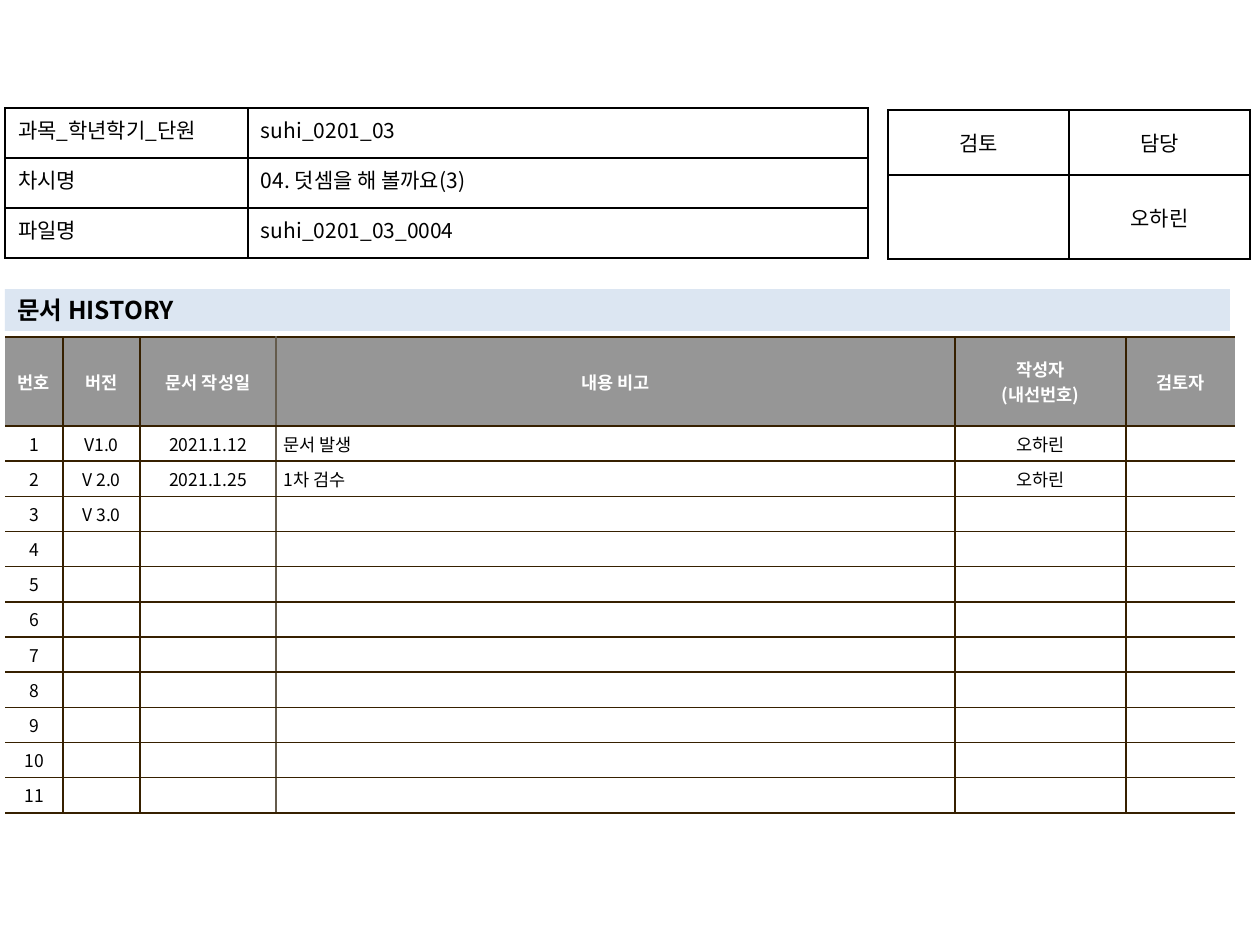
from dataclasses import dataclass

from lxml.etree import SubElement
from pptx import Presentation
from pptx.dml.color import RGBColor
from pptx.enum.shapes import MSO_SHAPE
from pptx.enum.text import MSO_ANCHOR as Anchor, PP_ALIGN as Align
from pptx.oxml.ns import qn
from pptx.util import Pt

PX = 914400 // 126


@dataclass(frozen=True)
class Theme:
    font: str = "Noto Sans CJK KR"
    text: str = "000000"
    header_text: str = "FFFFFF"
    header_fill: str = "969696"
    body_fill: str = "FFFFFF"
    banner_fill: str = "DCE6F2"
    line: str = "000000"
    history_line: str = "362000"
    note_line: str = "645B4C"
    title_size: int = 14
    form_size: int = 12
    history_size: int = 10


theme = Theme()


def write_text(text_frame, text, size, color=theme.text, bold=False, align=Align.LEFT):
    text_frame.text = text
    for paragraph in text_frame.paragraphs:
        paragraph.alignment = align
        for run in paragraph.runs:
            run.font.name = theme.font
            run.font.size = Pt(size)
            run.font.bold = bold
            run.font.color.rgb = RGBColor.from_string(color)
            SubElement(run._r.get_or_add_rPr(), qn("a:ea"), typeface=theme.font)
        if not paragraph.runs:
            # Keeps an empty cell from growing to the default type size
            SubElement(paragraph._p, qn("a:endParaRPr"), sz=str(size * 100))


def add_grid(slide, left, top, widths, heights, margins, line_colors):
    """Add an unfilled table; line_colors holds the colour of each vertical
    rule from left to right (None for no rule), horizontals take the second."""
    table = slide.shapes.add_table(
        len(heights), len(widths), left * PX, top * PX,
        sum(widths) * PX, sum(heights) * PX).table
    table.first_row = table.horz_banding = False
    for column, width in zip(table.columns, widths):
        column.width = width * PX
    for row, height in zip(table.rows, heights):
        row.height = height * PX
        for index, cell in enumerate(row.cells):
            cell.margin_left = cell.margin_right = margins[0] * PX
            cell.margin_top = cell.margin_bottom = margins[1] * PX
            sides = {"L": line_colors[index], "R": line_colors[index + 1],
                     "T": line_colors[1], "B": line_colors[1]}
            for side, color in sides.items():
                line = SubElement(cell._tc.get_or_add_tcPr(), qn(f"a:ln{side}"), w=str(Pt(1)))
                if color:
                    SubElement(SubElement(line, qn("a:solidFill")), qn("a:srgbClr"), val=color)
                else:
                    SubElement(line, qn("a:noFill"))
            cell.fill.background()
    return table


presentation = Presentation()
presentation.slide_width = 1260 * PX
presentation.slide_height = 945 * PX
slide = presentation.slides.add_slide(presentation.slide_layouts[6])

# Document history
history = [
    ("번호", "버전", "문서 작성일", "내용 비고", "작성자\n(내선번호)", "검토자"),
    ("1", "V1.0", "2021.1.12", "문서 발생", "오하린", ""),
    ("2", "V 2.0", "2021.1.25", "1차 검수", "오하린", ""),
    ("3", "V 3.0", "", "", "", ""),
]
history += [(str(number), "", "", "", "", "") for number in range(4, 12)]
NOTE_COLUMN = 3
dark = theme.history_line
history_table = add_grid(
    slide, 5, 337, [58, 77, 136, 679, 171, 109], [89] + [35] * 11, (8, 5),
    [None, dark, dark, theme.note_line, dark, dark, None])
for row_index, values in enumerate(history):
    is_header = row_index == 0
    for column_index, value in enumerate(values):
        cell = history_table.cell(row_index, column_index)
        is_note = column_index == NOTE_COLUMN and not is_header
        cell.vertical_anchor = Anchor.MIDDLE
        cell.fill.solid()
        cell.fill.fore_color.rgb = RGBColor.from_string(
            theme.header_fill if is_header else theme.body_fill)
        write_text(cell.text_frame, value, theme.history_size,
                   theme.header_text if is_header else theme.text,
                   is_header, Align.LEFT if is_note else Align.CENTER)

# Approval box
approval_table = add_grid(slide, 888, 110, [181, 181], [65, 84], (13, 6), [theme.line] * 3)
for row_index, values in enumerate([("검토", "담당"), ("", "오하린")]):
    for column_index, value in enumerate(values):
        cell = approval_table.cell(row_index, column_index)
        cell.vertical_anchor = Anchor.MIDDLE
        write_text(cell.text_frame, value, theme.form_size, align=Align.CENTER)

# History banner
banner = slide.shapes.add_shape(MSO_SHAPE.RECTANGLE, 5 * PX, 289 * PX, 1225 * PX, 42 * PX)
banner.shadow.inherit = False
banner.fill.solid()
banner.fill.fore_color.rgb = RGBColor.from_string(theme.banner_fill)
banner.line.fill.background()
banner.text_frame.vertical_anchor = Anchor.MIDDLE
write_text(banner.text_frame, "문서 HISTORY", theme.title_size, bold=True)

# Lesson details
details = [
    ("과목_학년학기_단원", "suhi_0201_03"),
    ("차시명", "04. 덧셈을 해 볼까요(3)"),
    ("파일명", "suhi_0201_03_0004"),
]
details_table = add_grid(slide, 5, 108, [243, 620], [50] * 3, (13, 6), [theme.line] * 3)
for row_index, (label, value) in enumerate(details):
    write_text(details_table.cell(row_index, 0).text_frame, label, theme.form_size,
               align=Align.JUSTIFY)
    write_text(details_table.cell(row_index, 1).text_frame, value, theme.form_size)

presentation.save("out.pptx")
